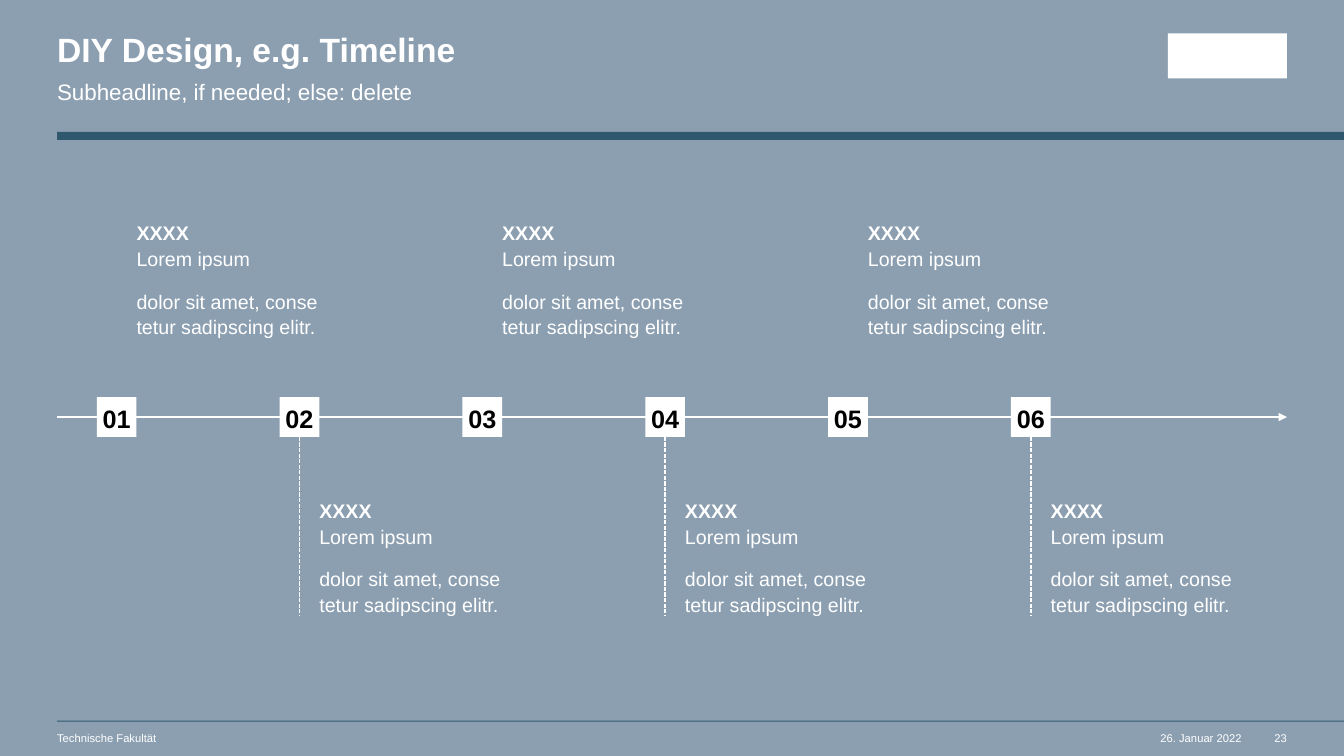
from dataclasses import dataclass

from pptx import Presentation
from pptx import util as u
from pptx.dml.color import RGBColor
from pptx.enum import dml, shapes, text
from pptx.oxml.ns import qn
from lxml import etree

TITLE = "DIY Design, e.g. Timeline"
SUBHEAD = "Subheadline, if needed; else: delete"
STEP_TEXT = [("XXXX", "Lorem ipsum"), ("dolor sit amet, conse", "tetur sadipscing elitr.")]
STEPS = [(f"{number:02d}", STEP_TEXT) for number in range(1, 7)]
LEFT, RIGHT = text.PP_ALIGN.LEFT, text.PP_ALIGN.RIGHT
FOOTERS = [  # wording, left, width, alignment
    ("26. Januar 2022", 820, 67, RIGHT),
    ("Technische Fakultät", 40.8, 430, LEFT),
    ("23", 904, 15.3, RIGHT),
]


@dataclass(frozen=True)
class Theme:
    font: str = "Arial"
    ground: str = "8C9FB1"
    rule: str = "2F586E"
    white: str = "FFFFFF"
    black: str = "000000"
    title: int = 24
    subhead: int = 16
    number: int = 18
    body: int = 14
    footer: int = 8


THEME = Theme()
PAGE_W, PAGE_H = 960, 540
MARGIN = 40.8
AXIS_END = 919.3
AXIS_Y = 297.9
BOX = 28.35
PITCH = 130.6
STEM = 4.5 * BOX
TEXT_W, TEXT_H = 140.4, 3 * BOX


def color(value):
    return RGBColor.from_string(value)


def style(para, size, ink=THEME.white, bold=False, align=LEFT, spacing=1.1, after=12):
    para.alignment, para.line_spacing = align, spacing
    para.space_before, para.space_after = u.Pt(0), u.Pt(after)
    for span in para.runs:
        span.font.name, span.font.size, span.font.bold = THEME.font, u.Pt(size), bold
        span.font.color.rgb = color(ink)
    for line_break in para._p.findall(qn("a:br")):
        etree.SubElement(line_break, qn("a:rPr")).set("sz", str(size * 100))


def set_frame(box, anchor=text.MSO_ANCHOR.TOP, right=0):
    frame = box.text_frame
    frame.word_wrap, frame.auto_size = True, text.MSO_AUTO_SIZE.NONE
    frame.vertical_anchor = anchor
    frame.margin_left = frame.margin_top = frame.margin_bottom = u.Pt(0)
    frame.margin_right = u.Pt(right)
    return frame


def place(box, left, top, width, height):
    box.left, box.top, box.width, box.height = map(u.Pt, (left, top, width, height))


def add_textbox(page, left, top, width, height):
    return set_frame(page.shapes.add_textbox(*map(u.Pt, (left, top, width, height))))


def add_rect(page, left, top, width, height, fill):
    box = page.shapes.add_shape(shapes.MSO_SHAPE.RECTANGLE,
                                *map(u.Pt, (left, top, width, height)))
    box.shadow.inherit = False
    box.fill.solid()
    box.fill.fore_color.rgb = color(fill)
    box.line.fill.background()
    return box


def add_line(page, x1, y1, x2, y2, ink):
    line = page.shapes.add_connector(shapes.MSO_CONNECTOR.STRAIGHT,
                                     *map(u.Pt, (x1, y1, x2, y2)))
    line.line.color.rgb, line.line.width = color(ink), u.Pt(1)
    etree.SubElement(line._element.spPr, qn("a:effectLst"))
    return line


def add_header(page):
    title, subhead = page.shapes.title, page.placeholders[1]
    place(title, MARGIN, 23.8, 539.3, 26)
    place(subhead, MARGIN, 54, 539.3, 19.5)
    set_frame(title).text = TITLE
    style(title.text_frame.paragraphs[0], THEME.title, bold=True, spacing=0.9, after=0)
    set_frame(subhead, right=BOX).text = SUBHEAD
    para = subhead.text_frame.paragraphs[0]
    style(para, THEME.subhead)
    props = para._p.get_or_add_pPr()
    props.set("marL", "0")
    props.set("indent", "0")
    etree.SubElement(props, qn("a:buNone"))


def add_step(page, index, number, paragraphs):
    left = MARGIN + BOX + index * PITCH
    top, center = AXIS_Y - BOX / 2, left + BOX / 2
    above = index % 2 == 0

    box = add_rect(page, left, top, BOX, BOX, THEME.white)
    set_frame(box, text.MSO_ANCHOR.MIDDLE).text = number
    style(box.text_frame.paragraphs[0], THEME.number, THEME.black, True, text.PP_ALIGN.CENTER)

    near, far = (top, top - STEM) if above else (top + BOX, top + BOX + STEM)
    text_top = far if above else far - TEXT_H
    frame = add_textbox(page, left + BOX, text_top, TEXT_W, TEXT_H)
    for position, lines in enumerate(paragraphs):
        para = frame.paragraphs[0] if position == 0 else frame.add_paragraph()
        para.text = "\v".join(lines)
        style(para, THEME.body)
    frame.paragraphs[0].runs[0].font.bold = True

    stem = add_line(page, center, near, center, far, THEME.ground if above else THEME.white)
    stem.line.dash_style = dml.MSO_LINE.SQUARE_DOT
    stem.begin_connect(box, 0 if above else 2)


def main():
    deck = Presentation()
    deck.slide_width, deck.slide_height = u.Pt(PAGE_W), u.Pt(PAGE_H)
    page = deck.slides.add_slide(deck.slide_layouts[1])
    page.background.fill.solid()
    page.background.fill.fore_color.rgb = color(THEME.ground)

    for top, height in ((514.7, 0.75), (94.2, 5.7)):
        add_rect(page, MARGIN, top, PAGE_W - MARGIN, height, THEME.rule)
    add_rect(page, 834.3, 23.8, 85, 32.2, THEME.white)
    add_header(page)
    for wording, left, width, align in FOOTERS:
        frame = add_textbox(page, left, 522.7, width, 9.4)
        frame.text = wording
        style(frame.paragraphs[0], THEME.footer, align=align, spacing=1, after=0)

    axis = add_line(page, MARGIN, AXIS_Y, AXIS_END, AXIS_Y, THEME.white)
    etree.SubElement(axis.line._get_or_add_ln(), qn("a:tailEnd")).set("type", "triangle")
    for index, (number, paragraphs) in enumerate(STEPS):
        add_step(page, index, number, paragraphs)
    deck.save("out.pptx")


if __name__ == "__main__":
    main()
